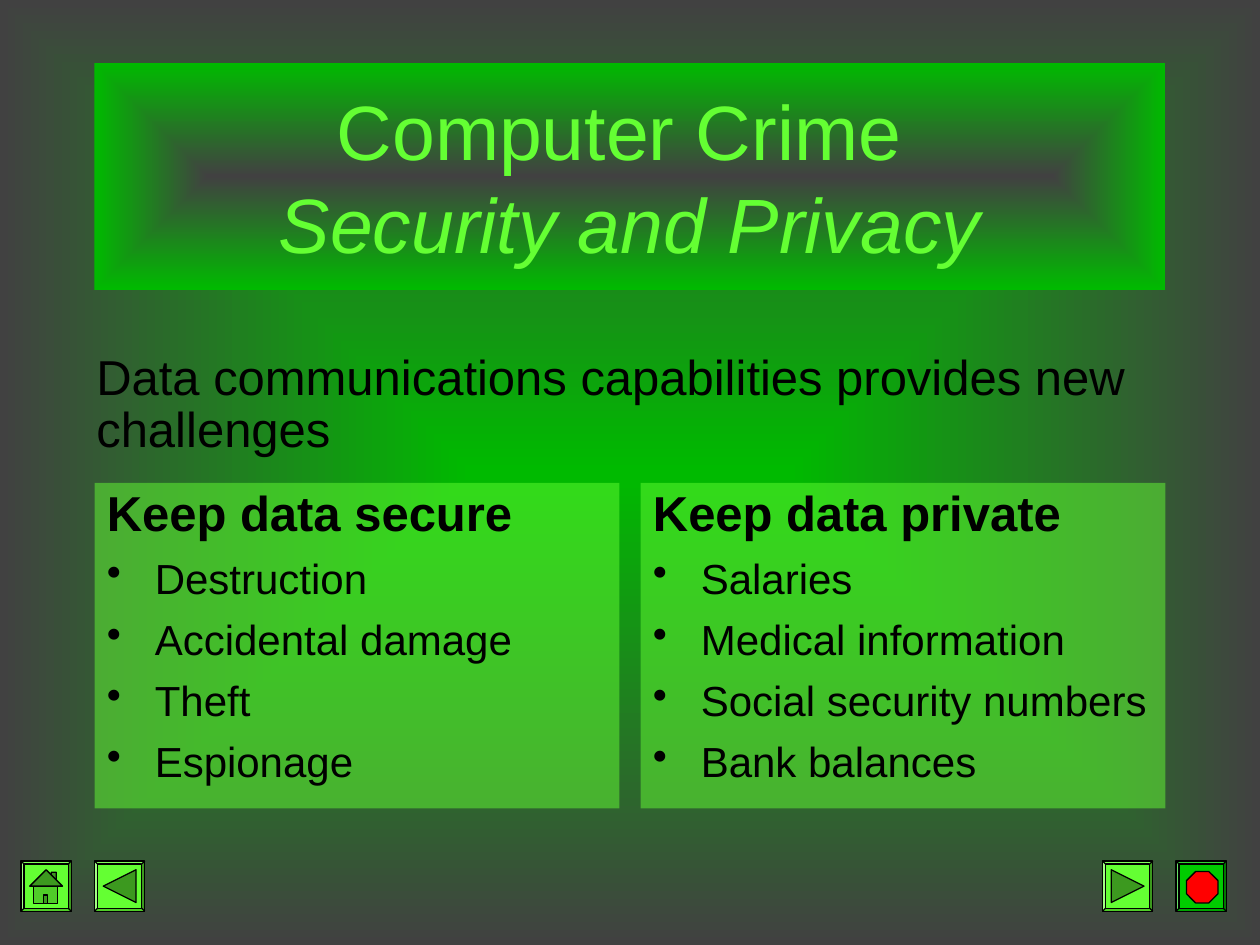
"""Build the Computer Crime slide: title, statement, two columns and navigation buttons."""
from lxml.etree import SubElement
from pptx import Presentation
from pptx.dml.color import RGBColor
from pptx.enum.shapes import MSO_SHAPE
from pptx.enum.text import MSO_ANCHOR, PP_ALIGN
from pptx.oxml.ns import qn
from pptx.util import Inches, Pt

COLORS = {"green": "00BA00", "gray": "414141", "lime": "64FF33", "mid": "50CC29",
          "dark": "3C991F", "stop": "00CC00", "red": "FF0000", "black": "000000"}
RGB = {name: RGBColor.from_string(value) for name, value in COLORS.items()}

prs = Presentation()
prs.slide_width, prs.slide_height = Inches(10), Inches(7.5)
UNIT = prs.slide_width // 120
s = prs.slides.add_slide(prs.slide_layouts[6])


def center_gradient(fill, element, inner, outer):
    fill.gradient()
    for stop, name in zip(fill.gradient_stops, (inner, outer)):
        stop.color.rgb = RGB[name]
    fill.gradient_stops[0].position, fill.gradient_stops[1].position = 0, 1
    grad = next(element.iter(qn("a:gradFill")))
    grad.remove(grad.find(qn("a:lin")))
    path = SubElement(grad, qn("a:path"), path="rect")
    SubElement(path, qn("a:fillToRect"), l="50000", t="50000", r="50000", b="50000")


def paint(sp, color):
    sp.shadow.inherit = False
    sp.fill.solid()
    sp.fill.fore_color.rgb = RGB[color]
    sp.line.color.rgb = RGB["black"]
    sp.line.width = Pt(0.75)


center_gradient(s.background.fill, s.element, "green", "gray")

HOME = [("mid", [(10, 20), (29, 20), (29, 34), (10, 34)]),
        ("dark", [(24, 12), (24, 9), (28, 9), (28, 16)]),
        ("dark", [(20, 7), (33, 20), (7, 20)]),
        ("dark", [(18, 27), (21, 27), (21, 34), (18, 34)])]
BACK = [("dark", [(7, 20), (33, 7), (33, 33)])]
NEXT = [("dark", [(7, 7), (33, 20), (7, 33)])]
BUTTONS = [(2, "lime", HOME), (9, "lime", BACK), (105, "lime", NEXT), (112, "stop", [])]
for col, color, glyph in BUTTONS:
    x, y = col * UNIT, 82 * UNIT
    sp = s.shapes.add_shape(MSO_SHAPE.BEVEL, x, y, Inches(0.4), Inches(0.4))
    sp.adjustments[0] = 0.06
    paint(sp, color)
    for shade, points in glyph:
        builder = s.shapes.build_freeform(*points[0], scale=Inches(0.01))
        builder.add_line_segments(points[1:], close=True)
        paint(builder.convert_to_shape(x, y), shade)

sp = s.shapes.add_shape(MSO_SHAPE.OCTAGON, 113 * UNIT, 83 * UNIT, 3 * UNIT, 3 * UNIT)
sp.adjustments[0] = 0.29
paint(sp, "red")

sp = s.shapes.add_shape(MSO_SHAPE.RECTANGLE, 9 * UNIT, 6 * UNIT, 102 * UNIT, Inches(1.8))
sp.shadow.inherit = False
center_gradient(sp.fill, sp.element, "gray", "green")
sp.line.fill.background()
sp.text_frame.vertical_anchor = MSO_ANCHOR.MIDDLE
p = sp.text_frame.paragraphs[0]
p.alignment = PP_ALIGN.CENTER
p.font.name, p.font.size = "Arial", Pt(44)
p.add_run().text = "Computer Crime "
p.add_line_break()
r = p.add_run()
r.text = "Security and Privacy"
r.font.italic = True
for r in p.runs:
    r.font.color.rgb = RGB["lime"]

COLUMNS = [(9, ["Keep data secure", "Destruction", "Accidental damage", "Theft", "Espionage"]),
           (61, ["Keep data private", "Salaries", "Medical information",
                 "Social security numbers", "Bank balances"])]
for col, lines in COLUMNS:
    sp = s.shapes.add_shape(MSO_SHAPE.RECTANGLE, col * UNIT, 46 * UNIT, 50 * UNIT, 31 * UNIT)
    paint(sp, "lime")
    sp.line.fill.background()
    color = next(sp.element.spPr.iter(qn("a:srgbClr")))
    SubElement(color, qn("a:alpha"), val="50000")
    tf = sp.text_frame
    tf.vertical_anchor = MSO_ANCHOR.TOP
    for i, line in enumerate(lines):
        p = tf.paragraphs[0] if i == 0 else tf.add_paragraph()
        p.text = line
        p.alignment = PP_ALIGN.LEFT
        p.line_spacing = 0.9
        p.space_before = Pt(9 if i else 10.5)
        p.font.name, p.font.size = "Arial", Pt(24 if i else 28)
        p.font.bold = i == 0
        p.font.color.rgb = RGB["black"]
        pPr = p._p.get_or_add_pPr()
        pPr.set("marL", str(Inches(0.38)))
        pPr.set("indent", str(-Inches(0.38)))
        if i:
            bullet = pPr.makeelement(qn("a:buChar"), {"char": "•"})
            pPr.find(qn("a:defRPr")).addprevious(bullet)

sp = s.shapes.add_textbox(8 * UNIT, 33 * UNIT, 103 * UNIT, Inches(0.94))
tf = sp.text_frame
tf.word_wrap = True
p = tf.paragraphs[0]
p.text = "Data communications capabilities provides new challenges"
p.line_spacing, p.space_before = 0.9, Pt(14)
p.font.name, p.font.size = "Arial", Pt(28)
p.font.color.rgb = RGB["black"]

prs.save("out.pptx")
